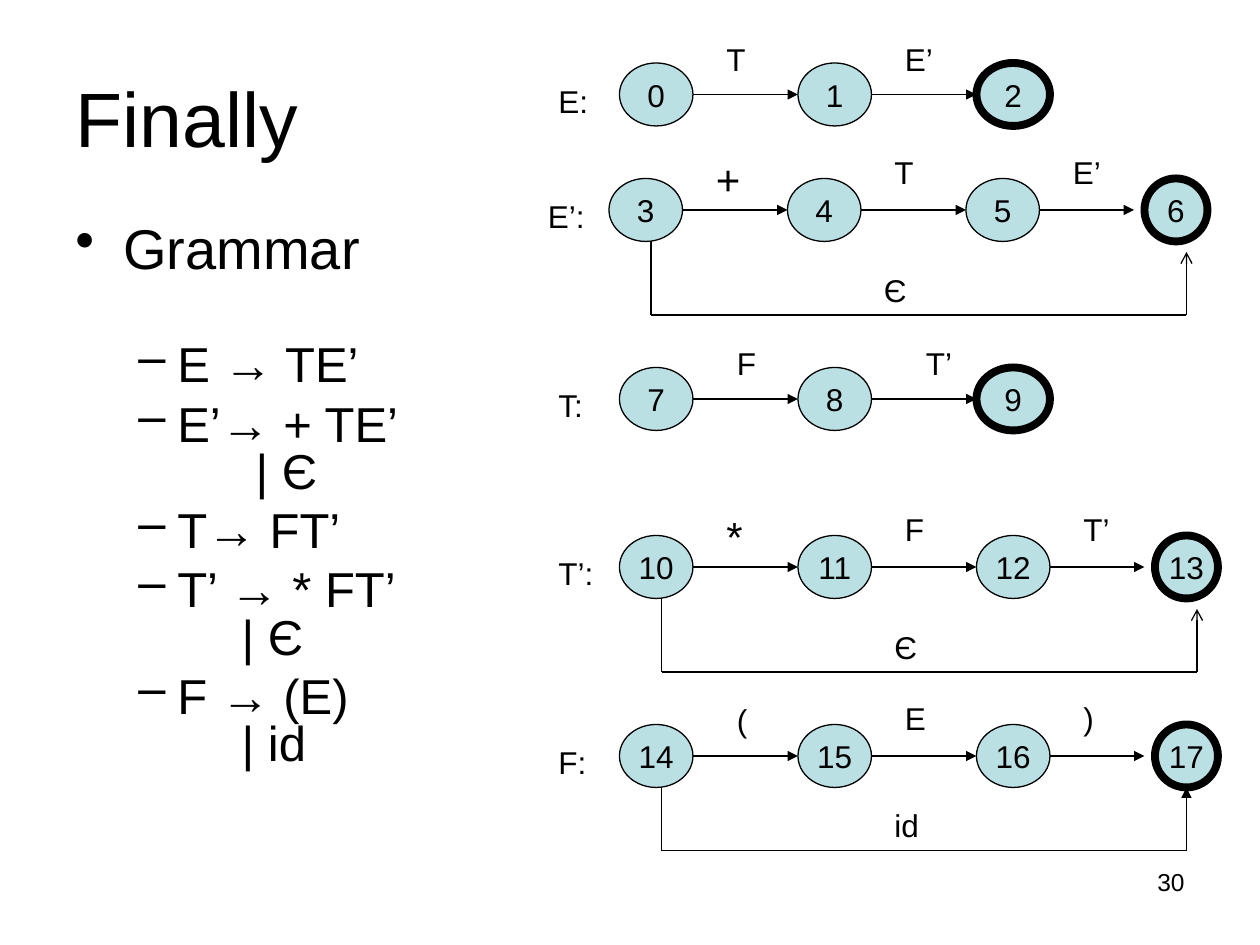
import pptx
import pptx.util
import pptx.dml.color
import pptx.enum.shapes
import pptx.enum.text
import lxml.etree
import pptx.oxml.ns

Pt = pptx.util.Pt
SHAPE = pptx.enum.shapes.MSO_SHAPE
ALIGN = pptx.enum.text.PP_ALIGN
ANCHOR = pptx.enum.text.MSO_ANCHOR
qn = pptx.oxml.ns.qn
BLACK = pptx.dml.color.RGBColor(0x00, 0x00, 0x00)
TEAL = pptx.dml.color.RGBColor(0xBB, 0xE0, 0xE3)

prs = pptx.Presentation()
prs.slide_width = pptx.util.Inches(10)
prs.slide_height = pptx.util.Inches(7.5)
s = prs.slides.add_slide(prs.slide_layouts[6])
U = prs.slide_width / 120  # the slide is a grid of 120 columns by 90 rows
STEP = 17                  # columns from one state to the next


def write(text, parent=None, box=None, sp=None, p=None, size=18,
          align=ALIGN.LEFT, anchor=ANCHOR.TOP, wrap=True):
    """Write text into a paragraph, a shape or a new text box."""
    if p is None:
        if sp is None:
            sp = parent.shapes.add_textbox(*[round(v * U) for v in box])
        tf = sp.text_frame
        tf.word_wrap = wrap
        tf.vertical_anchor = anchor
        p = tf.paragraphs[0]
    p.text = text
    p.alignment = align
    for r in p.runs:
        r.font.size = Pt(size)
        r.font.name = "Arial"
        r.font.color.rgb = BLACK
    return sp


def line(parent, x1, y1, x2, y2, head=None):
    """Draw a thin line, with an arrowhead at its end if one is named."""
    c = parent.shapes.add_connector(pptx.enum.shapes.MSO_CONNECTOR.STRAIGHT,
                                    *[round(v * U) for v in (x1, y1, x2, y2)])
    c.line.color.rgb = BLACK
    c.line.width = Pt(0.75)
    if head:
        lxml.etree.SubElement(c.line._get_or_add_ln(), qn("a:tailEnd"), type=head)
    lxml.etree.SubElement(c._element.spPr, qn("a:effectLst"))


# Title
write("Finally", s, (6, 3.6, 108, 15), size=44, anchor=ANCHOR.MIDDLE)

# Grammar: text, size, space before, left margin, hanging indent, bullet, tab
grammar = [
    ("Grammar", 32, 0, 0.38, 0.38, "•", None),
    ("E → TE’", 28, 37, 0.81, 0.31, "–", None),
    ("E’→ + TE’\v\t| Є", 28, 7, 0.81, 0.31, "–", 1.43),
    ("T→ FT’", 28, 7, 0.81, 0.31, "–", None),
    ("T’ → * FT’\v\t| Є", 28, 7, 0.81, 0.31, "–", 1.32),
    ("F → (E)\v\t| id", 28, 7, 0.81, 0.31, "–", 1.32),
]
tf = s.shapes.add_textbox(*[round(v * U) for v in (6, 21, 42, 59.4)]).text_frame
tf.word_wrap = True
for i, (text, size, before, margin, hang, bullet, tab) in enumerate(grammar):
    p = tf.add_paragraph() if i else tf.paragraphs[0]
    write(text, p=p, size=size)
    p.line_spacing = 0.8
    if before:
        p.space_before = Pt(before)
    pPr = p._p.get_or_add_pPr()
    pPr.set("marL", str(pptx.util.Inches(margin)))
    pPr.set("indent", str(-pptx.util.Inches(hang)))
    lxml.etree.SubElement(pPr, qn("a:buChar"), char=bullet)
    if tab:
        tabs = lxml.etree.SubElement(pPr, qn("a:tabLst"))
        lxml.etree.SubElement(tabs, qn("a:tab"), algn="l",
                              pos=str(pptx.util.Inches(tab)))

# Automata: name, left column, top row, first state,
# edge labels (text, column, row above the states, width, size),
# bypass (text, width, end column, bottom row, tip row, arrowhead)
automata = [
    ("E:", 59, 6, 0, [("T", 9, 2.8, 6, 18), ("E’", 26, 2.8, 6, 18)], None),
    ("E’:", 58, 17, 3,
     [("+", 9, 3, 6, 24), ("T", 26, 3, 4, 18), ("E’", 43, 3, 7, 18)],
     ("Є", 4, 55, 13, 7, "arrow")),
    ("T:", 59, 35, 7, [("F", 10, 2.8, 6, 18), ("T’", 28, 2.8, 6, 18)], None),
    ("T’:", 59, 51, 10,
     [("*", 9, 3, 6, 24), ("F", 26, 3, 4, 18), ("T’", 43, 3, 7, 18)],
     ("Є", 4, 55, 13, 7, "arrow")),
    ("F:", 59, 69, 14,
     [("(", 10, 2.8, 4, 18), ("E", 26, 3, 4, 18), (")", 43, 3, 4, 18)],
     ("id", 6, 54, 12, 6, "triangle")),
]
for name, left, top, first, labels, bypass in automata:
    g = s.shapes.add_group_shape()
    last = len(labels)
    # States, the accepting one with a thick outline
    for i in range(last + 1):
        width = 6 if i == 3 else 7
        sp = g.shapes.add_shape(SHAPE.OVAL, *[
            round(v * U) for v in (left + i * STEP, top, width, 6)])
        sp.shadow.inherit = False
        sp.fill.solid()
        sp.fill.fore_color.rgb = TEAL
        sp.line.color.rgb = BLACK
        sp.line.width = Pt(4.5 if i == last else 0.75)
        write(str(first + i), sp=sp, align=ALIGN.CENTER,
              anchor=ANCHOR.MIDDLE, wrap=False)
    write(name, g, (left - 7, top + 1.2, 7, 4.8))
    # Labelled edges
    for i, (text, column, rise, width, size) in enumerate(labels):
        x = left + i * STEP
        line(g, x + 7, top + 3, x + (16 if i == 2 else STEP), top + 3, "triangle")
        write(text, g, (left + column, top - rise, width, size / 5 + 1.2), size=size)
    # Bypass from the first state to the last
    if bypass:
        text, width, end, depth, tip, head = bypass
        start, end, bottom = left + 4, left + end, top + depth
        line(g, start, top + 6, start, bottom)
        line(g, start, bottom, end, bottom)
        line(g, end, bottom, end, top + tip, head)
        write(text, g, (left + 25, bottom - 4.8, width, 4.8))

# Slide number
write("30", s, (86, 82, 28, 6.2), size=14, align=ALIGN.RIGHT)

prs.save("out.pptx")
